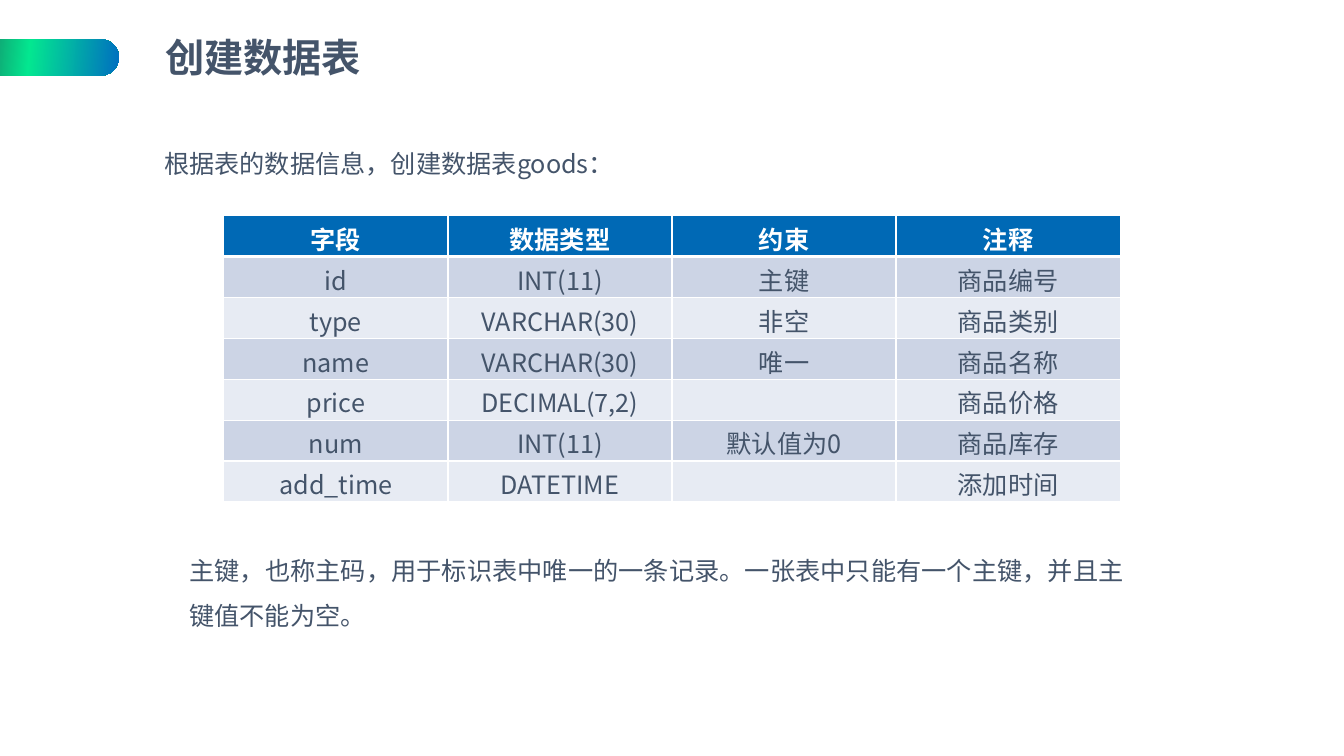
from dataclasses import dataclass

from lxml import etree
from pptx import Presentation
from pptx.dml.color import RGBColor
from pptx.enum.shapes import MSO_SHAPE
from pptx.enum.text import MSO_ANCHOR, PP_ALIGN
from pptx.oxml import parse_xml
from pptx.oxml.ns import nsdecls, qn
from pptx.slide import Slide
from pptx.text.text import TextFrame, _Paragraph
from pptx.util import Inches, Length, Pt

PILL = MSO_SHAPE.ROUNDED_RECTANGLE
MIDDLE, BOTTOM = MSO_ANCHOR.MIDDLE, MSO_ANCHOR.BOTTOM
LEFT, CENTER, JUSTIFY = PP_ALIGN.LEFT, PP_ALIGN.CENTER, PP_ALIGN.JUSTIFY
SANS, LATIN = "Noto Sans CJK SC", "Arial"
COLORS = {
    "text": "44546A", "white": "FFFFFF", "head": "0069B5",
    "odd": "CCD4E5", "even": "E7EBF3",
}
STOPS = ((0, "272D3D"), (52, "03E790"), (100, "0070C0"))
ROWS = (
    ("字段", "数据类型", "约束", "注释"),
    ("id", "INT(11)", "主键", "商品编号"),
    ("type", "VARCHAR(30)", "非空", "商品类别"),
    ("name", "VARCHAR(30)", "唯一", "商品名称"),
    ("price", "DECIMAL(7,2)", "", "商品价格"),
    ("num", "INT(11)", "默认值为0", "商品库存"),
    ("add_time", "DATETIME", "", "添加时间"),
)


@dataclass
class Note:
    text: str
    left: float
    top: float
    width: float
    height: float
    spacing: float | Length
    indent: float = 0


NOTES = (
    Note("根据表的数据信息，创建数据表goods：", 1.03, 1.37, 11.4, 0.42, Pt(25), 0.5),
    Note("主键，也称主码，用于标识表中唯一的一条记录。"
         "一张表中只能有一个主键，并且主键值不能为空。", 1.78, 5.31, 9.47, 0.96, 1.5),
)


def add_run(para: _Paragraph, text: str, size: int = 18, color: str = "text",
            bold: bool = False, face: str = SANS) -> None:
    run = para.add_run()
    run.text = text
    font = run.font
    font.size, font.bold, font.name = Pt(size), bold, face
    font.color.rgb = RGBColor.from_string(COLORS[color])
    if face == SANS:
        east = etree.SubElement(font._element, qn("a:ea"))
        east.set("typeface", face)


def add_pill(slide: Slide) -> None:
    pill = slide.shapes.add_shape(
        PILL, Inches(-0.68), Inches(0.39), Inches(1.86), Inches(0.36))
    pill.adjustments[0] = 0.5
    pill.shadow.inherit = False
    pill.line.fill.background()
    stops = "".join(
        f'<a:gs pos="{pos * 1000}"><a:srgbClr val="{color}"/></a:gs>'
        for pos, color in STOPS)
    grad = parse_xml(
        f'<a:gradFill {nsdecls("a")} rotWithShape="1"><a:gsLst>{stops}</a:gsLst>'
        '<a:lin ang="300000" scaled="0"/></a:gradFill>')
    pill._element.spPr.find(qn("a:prstGeom")).addnext(grad)


def add_title(slide: Slide) -> None:
    title = slide.shapes.title
    title.left, title.top = Inches(1.54), Inches(0.33)
    title.width, title.height = Inches(9.17), Inches(0.52)
    frame: TextFrame = title.text_frame
    frame.word_wrap, frame.vertical_anchor = True, MIDDLE
    para = frame.paragraphs[0]
    para.alignment, para.line_spacing = LEFT, 0.9
    para.space_before = Pt(0)
    add_run(para, "创建数据表", 28, bold=True)


def add_note(slide: Slide, note: Note) -> None:
    box = slide.shapes.add_textbox(
        Inches(note.left), Inches(note.top), Inches(note.width), Inches(note.height))
    box.text_frame.word_wrap = True
    para = box.text_frame.paragraphs[0]
    para.alignment, para.line_spacing = JUSTIFY, note.spacing
    para._p.get_or_add_pPr().set("indent", str(Inches(note.indent)))
    add_run(para, note.text)


def add_table(slide: Slide) -> None:
    table = slide.shapes.add_table(
        len(ROWS), len(ROWS[0]),
        Inches(2.22), Inches(2.14), Inches(8.89), Inches(2.84)).table
    for r, row in enumerate(ROWS):
        head = r == 0
        fill = "head" if head else "odd" if r % 2 else "even"
        edges = {"L": 1, "R": 1, "T": 3 if r == 1 else 1, "B": 3 if head else 1}
        for c, text in enumerate(row):
            cell = table.cell(r, c)
            cell.margin_top, cell.margin_bottom = Inches(0.04), 0
            cell.vertical_anchor = BOTTOM
            props = cell._tc.get_or_add_tcPr()
            for side, width in edges.items():
                props.append(parse_xml(
                    f'<a:ln{side} {nsdecls("a")} w="{Pt(width)}"><a:solidFill>'
                    f'<a:srgbClr val="{COLORS["white"]}"/></a:solidFill></a:ln{side}>'))
            cell.fill.solid()
            cell.fill.fore_color.rgb = RGBColor.from_string(COLORS[fill])
            para = cell.text_frame.paragraphs[0]
            para.alignment = CENTER
            if text:
                add_run(para, text, color="white" if head else "text",
                        bold=head, face=LATIN if head else SANS)


def main() -> None:
    deck = Presentation()
    deck.slide_width, deck.slide_height = Inches(13.33), Inches(7.5)
    slide = deck.slides.add_slide(deck.slide_layouts[5])
    add_pill(slide)
    add_title(slide)
    add_table(slide)
    for note in NOTES:
        add_note(slide, note)
    deck.save("out.pptx")


if __name__ == "__main__":
    main()
